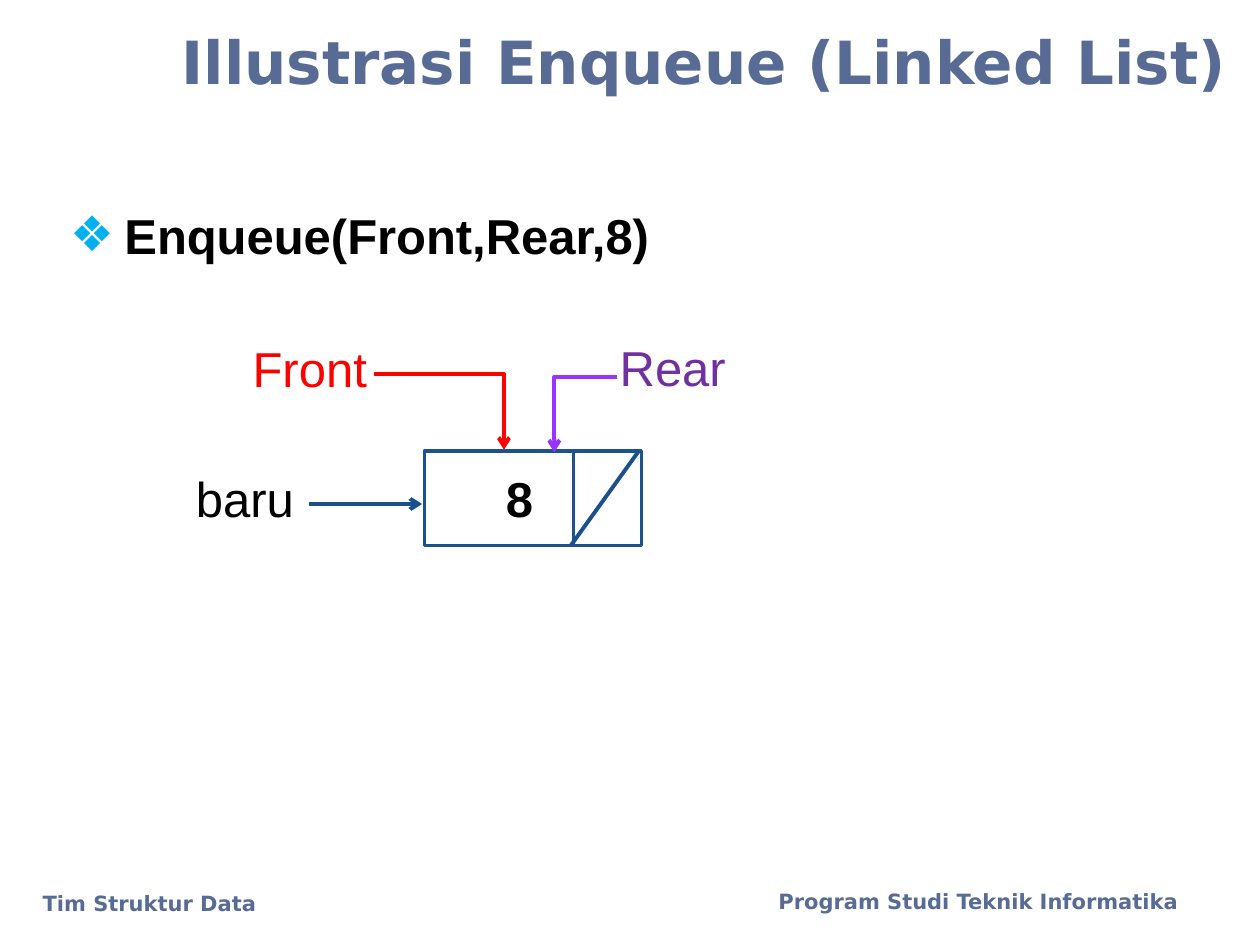
from pptx import Presentation
from pptx.dml.color import RGBColor
from pptx.enum.shapes import MSO_CONNECTOR as Connector, MSO_SHAPE as Shape
from pptx.enum.text import MSO_ANCHOR as Anchor, PP_ALIGN as Align
from pptx.oxml.ns import qn
from pptx.util import Inches, Pt
from lxml.etree import SubElement

BLACK = RGBColor(0x00, 0x00, 0x00)
WHITE = RGBColor(0xFF, 0xFF, 0xFF)
SLATE = RGBColor(0x58, 0x6B, 0x95)
NAVY = RGBColor(0x1D, 0x52, 0x8D)
BLUE = RGBColor(0x1A, 0x50, 0x8D)
RED = RGBColor(0xFF, 0x00, 0x00)
PURPLE = RGBColor(0x70, 0x30, 0xA0)
VIOLET = RGBColor(0x99, 0x33, 0xFF)
BULLET_COLOR = "00B0F0"

NODE_LEFT, NODE_TOP, NODE_WIDTH, NODE_HEIGHT = 3.37, 3.58, 1.72, 0.75
NODE_BOTTOM = NODE_TOP + NODE_HEIGHT
DIVIDER = 4.55

HEADING = dict(font="DejaVu Sans", color=SLATE, bold=True)
FOOTER = dict(HEADING, size=12, align=Align.LEFT)
TEXTS = [
    ("Illustrasi Enqueue (Linked List)", (0.83, 0.17, 9, 0.62),
     dict(HEADING, size=34, anchor=Anchor.MIDDLE)),
    ("Enqueue(Front,Rear,8)", (-0.08, 1.58, 5.33, 0.57), dict(bold=True, bullet="❖")),
    ("baru", (1.17, 3.67, 1.26, 0.57), {}),
    ("8", (3.7, 3.67, 0.63, 0.57), dict(bold=True)),
    ("Front", (1.75, 2.64, 1.26, 0.57), dict(color=RED)),
    ("Rear", (4.82, 2.63, 1.26, 0.57), dict(color=PURPLE, align=Align.LEFT)),
    ("Tim Struktur Data", (0.24, 7.02, 3.01, 0.35), FOOTER),
    ("Program Studi Teknik Informatika", (6.08, 7, 3.67, 0.5), FOOTER),
]
LINES = [
    ((DIVIDER, NODE_TOP), (DIVIDER, NODE_BOTTOM), NAVY, dict(width=2)),
    ((5.07, NODE_TOP), (4.53, NODE_BOTTOM), BLUE, {}),
    ((2.45, 4), (3.35, 4), BLUE, dict(arrow=True)),
    ((2.97, 2.97), (4, 3.57), RED, dict(arrow=True, bent=True)),
    ((4.9, 2.99), (4.4, 3.59), VIOLET, dict(arrow=True, bent=True)),
]


def add_text(text, box, font="Arial", size=28, color=BLACK, bold=False,
             align=Align.RIGHT, anchor=Anchor.TOP, bullet=None):
    frame = slide.shapes.add_textbox(*map(Inches, box)).text_frame
    frame.word_wrap = True
    frame.vertical_anchor = anchor
    paragraph = frame.paragraphs[0]
    paragraph.alignment = align
    run = paragraph.add_run()
    run.text = text
    run.font.name = font
    run.font.size = Pt(size)
    run.font.bold = bold
    run.font.color.rgb = color
    if bullet:
        properties = paragraph._p.get_or_add_pPr()
        properties.set("marL", str(Inches(0.43)))
        properties.set("indent", str(-Inches(0.43)))
        bullet_color = SubElement(properties, qn("a:buClr"))
        SubElement(bullet_color, qn("a:srgbClr"), val=BULLET_COLOR)
        SubElement(properties, qn("a:buFont"), typeface="Arial")
        SubElement(properties, qn("a:buChar"), char=bullet)


def add_line(start, end, color, width=2.25, arrow=False, bent=False):
    kind = Connector.ELBOW if bent else Connector.STRAIGHT
    connector = slide.shapes.add_connector(kind, *map(Inches, start + end))
    connector.line.color.rgb = color
    connector.line.width = Pt(width)
    properties = connector._element.spPr
    if bent:
        properties.find(qn("a:prstGeom")).set("prst", "bentConnector2")
    if arrow:
        SubElement(properties.find(qn("a:ln")), qn("a:tailEnd"), type="arrow")
    SubElement(properties, qn("a:effectLst"))


presentation = Presentation()
presentation.slide_width, presentation.slide_height = Inches(10), Inches(7.5)
slide = presentation.slides.add_slide(presentation.slide_layouts[6])

node = slide.shapes.add_shape(
    Shape.RECTANGLE, *map(Inches, (NODE_LEFT, NODE_TOP, NODE_WIDTH, NODE_HEIGHT)))
node.shadow.inherit = False
node.fill.solid()
node.fill.fore_color.rgb = WHITE
node.line.color.rgb = NAVY
node.line.width = Pt(2)

for start, end, color, options in LINES:
    add_line(start, end, color, **options)
for text, box, options in TEXTS:
    add_text(text, box, **options)

presentation.save("out.pptx")
